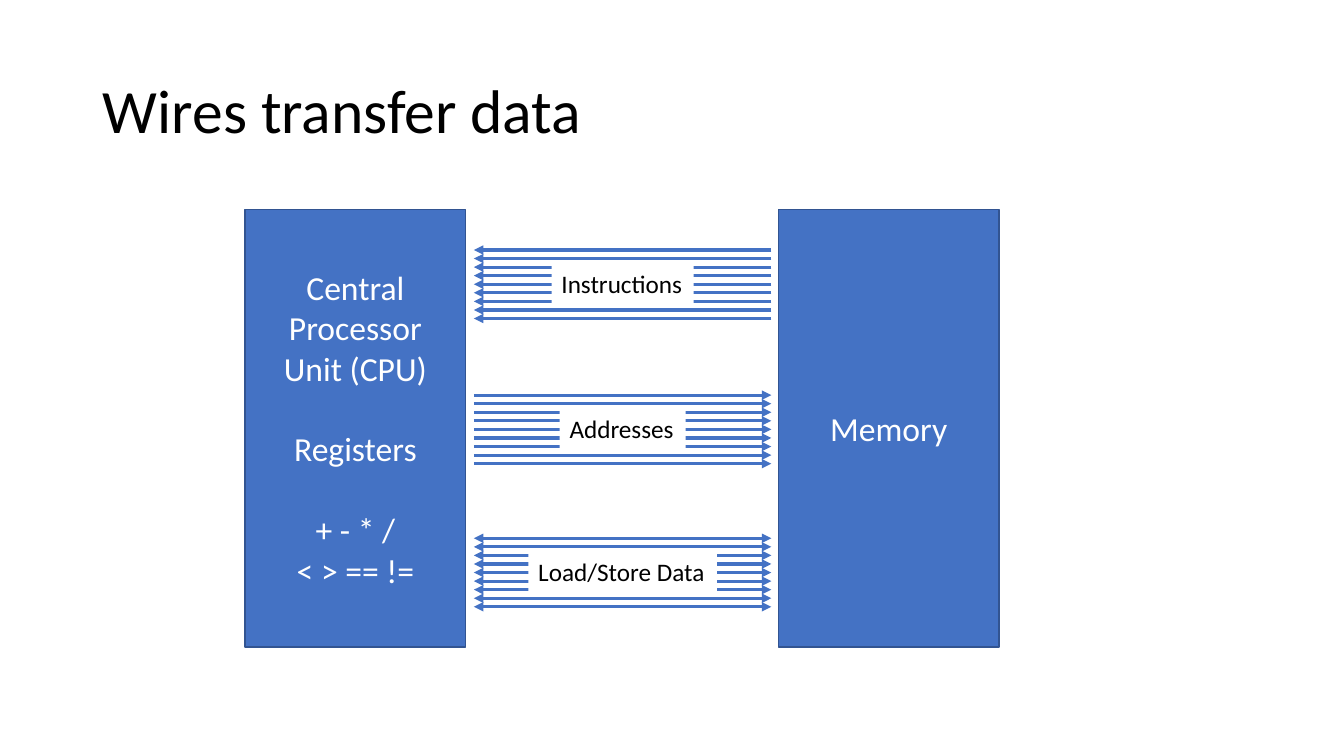
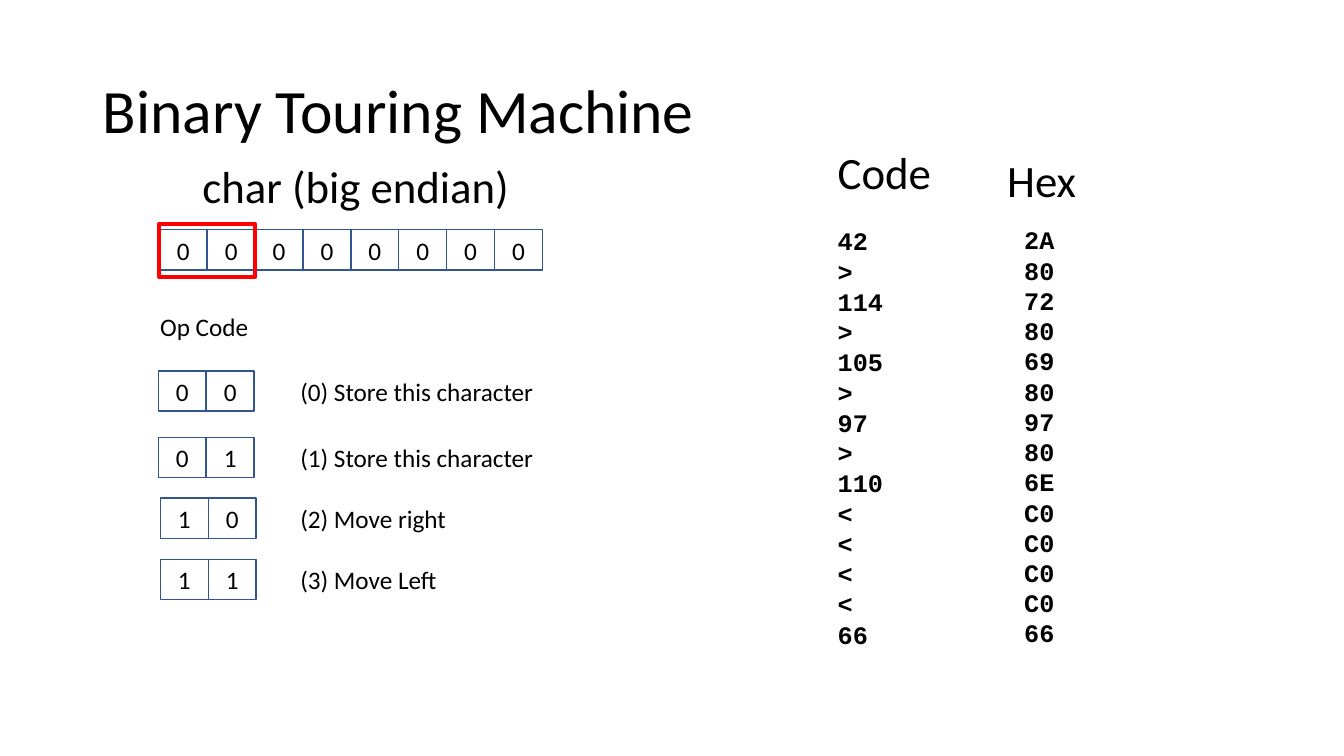
from lxml import etree
from pptx import Presentation
from pptx.dml.color import RGBColor
from pptx.enum import shapes, text
from pptx.oxml.ns import qn
from pptx.util import Inches, Pt

BLUE, OUTLINE, RED = "4472C4", "325491", "FF0000"
BLACK, WHITE = "000000", "FFFFFF"
BODY_FONT, CODE_FONT = "Calibri", "Courier New"

WIRE_LEFT, WIRE_RIGHT = 4.7, 7.65
WIRES_PER_BUS, WIRE_GAP = 9, 0.085
BIT_WIDTH, BIT_HEIGHT = 0.475, 0.4


def rgb(value):
    return RGBColor.from_string(value)


def write(frame, content, size, color=BLACK, font=BODY_FONT, bold=False, align=None):
    """Fill a text frame, one paragraph per line, in a single style."""
    frame.text = content
    for paragraph in frame.paragraphs:
        paragraph.alignment = align
        for run in paragraph.runs:
            run.font.size = Pt(size)
            run.font.name = font
            run.font.bold = bold
            run.font.color.rgb = rgb(color)


def add_titled_slide(prs, heading):
    slide = prs.slides.add_slide(prs.slide_layouts[5])
    title = slide.shapes.title
    title.left, title.top = Inches(0.92), Inches(0.4)
    title.width, title.height = Inches(11.5), Inches(1.45)
    frame = title.text_frame
    frame.auto_size = text.MSO_AUTO_SIZE.NONE
    frame.vertical_anchor = text.MSO_ANCHOR.MIDDLE
    write(frame, heading, 44, align=text.PP_ALIGN.LEFT)
    frame.paragraphs[0].line_spacing = 0.9
    return slide


def add_box(parent, left, top, width, height, content="", size=18, color=BLACK,
            fill=None, line=OUTLINE, weight=1):
    box = parent.shapes.add_shape(shapes.MSO_SHAPE.RECTANGLE, Inches(left),
                                  Inches(top), Inches(width), Inches(height))
    box.shadow.inherit = False
    if fill:
        box.fill.solid()
        box.fill.fore_color.rgb = rgb(fill)
    else:
        box.fill.background()
    box.line.color.rgb = rgb(line)
    box.line.width = Pt(weight)
    if content:
        box.text_frame.vertical_anchor = text.MSO_ANCHOR.MIDDLE
        write(box.text_frame, content, size, color, align=text.PP_ALIGN.CENTER)
    return box


def add_label(parent, left, top, width, height, content, size=18, wrap=False, **style):
    label = parent.shapes.add_textbox(Inches(left), Inches(top),
                                      Inches(width), Inches(height))
    label.text_frame.word_wrap = wrap
    label.text_frame.auto_size = text.MSO_AUTO_SIZE.SHAPE_TO_FIT_TEXT
    write(label.text_frame, content, size, **style)
    return label


def add_wire(parent, start, end, y, arrow_ends):
    wire = parent.shapes.add_connector(shapes.MSO_CONNECTOR.STRAIGHT, Inches(start),
                                       Inches(y), Inches(end), Inches(y))
    wire.line.color.rgb = rgb(BLUE)
    wire.line.width = Pt(2.25)
    outline = wire.line._get_or_add_ln()
    for arrow_end in arrow_ends:
        etree.SubElement(outline, qn(f"a:{arrow_end}"), type="triangle")
    etree.SubElement(wire._element.spPr, qn("a:effectLst"))


def add_bus(slide, top, start, end, arrow_ends, caption, caption_width):
    """Group parallel wires with a white caption over their middle."""
    bus = slide.shapes.add_group_shape()
    for i in range(WIRES_PER_BUS):
        add_wire(bus, start, end, top + i * WIRE_GAP, arrow_ends)
    left = (WIRE_LEFT + WIRE_RIGHT - caption_width) / 2
    label = add_label(bus, left, top + 0.13, caption_width, 0.4, caption)
    label.fill.solid()
    label.fill.fore_color.rgb = rgb(WHITE)


def add_bits(slide, left, top, bits):
    for i, bit in enumerate(bits):
        add_box(slide, left + i * BIT_WIDTH, top, BIT_WIDTH, BIT_HEIGHT, bit)


def build_wires(prs):
    slide = add_titled_slide(prs, "Wires transfer data")
    block = dict(size=24, color=WHITE, fill=BLUE)
    cpu = add_box(slide, 2.43, 2.08, 2.19, 4.34,
                  "Central\nProcessor\nUnit (CPU)\nRegisters\n+ - * /\n< > == !=", **block)
    for section_start in (3, 4):
        cpu.text_frame.paragraphs[section_start].space_before = Pt(29)
    add_box(slide, 7.72, 2.08, 2.19, 4.34, "Memory", **block)

    add_bus(slide, 2.48, WIRE_RIGHT, WIRE_LEFT, ["tailEnd"], "Instructions", 1.41)
    add_bus(slide, 3.92, WIRE_LEFT, WIRE_RIGHT, ["tailEnd"], "Addresses", 1.25)
    add_bus(slide, 5.34, WIRE_RIGHT, WIRE_LEFT, ["headEnd", "tailEnd"],
            "Load/Store Data", 1.87)


def build_machine(prs):
    slide = add_titled_slide(prs, "Binary Touring Machine")
    add_bits(slide, 1.58, 2.28, "00000000")
    add_box(slide, 1.58, 2.22, 2 * BIT_WIDTH, 0.53, line=RED, weight=3)
    add_label(slide, 1.91, 1.53, 3.33, 0.64, "char (big endian)", 32)
    add_label(slide, 1.49, 3.04, 1.09, 0.4, "Op Code")

    op_codes = [
        (1.57, 3.68, "00", "(0) Store this character", 2.54),
        (1.57, 4.34, "01", "(1) Store this character", 2.54),
        (1.59, 4.94, "10", "(2) Move right", 1.67),
        (1.59, 5.55, "11", "(3) Move Left", 1.58),
    ]
    for left, top, bits, meaning, width in op_codes:
        add_bits(slide, left, top, bits)
        add_label(slide, 2.88, top, width, 0.4, meaning)

    listings = [
        (8.21, 2.19, "42 > 114 > 105 > 97 > 110 < < < < 66"),
        (10.06, 2.18, "2A 80 72 80 69 80 97 80 6E C0 C0 C0 C0 66"),
    ]
    for left, top, codes in listings:
        add_label(slide, left, top, 1, 4.34, "\n".join(codes.split()),
                  wrap=True, font=CODE_FONT, bold=True)
    add_label(slide, 8.21, 1.39, 1.14, 0.64, "Code", 32)
    add_label(slide, 9.89, 1.47, 0.89, 0.64, "Hex", 32)


def main():
    prs = Presentation()
    prs.slide_width, prs.slide_height = Inches(13.33), Inches(7.5)
    build_wires(prs)
    build_machine(prs)
    prs.save("out.pptx")


if __name__ == "__main__":
    main()
